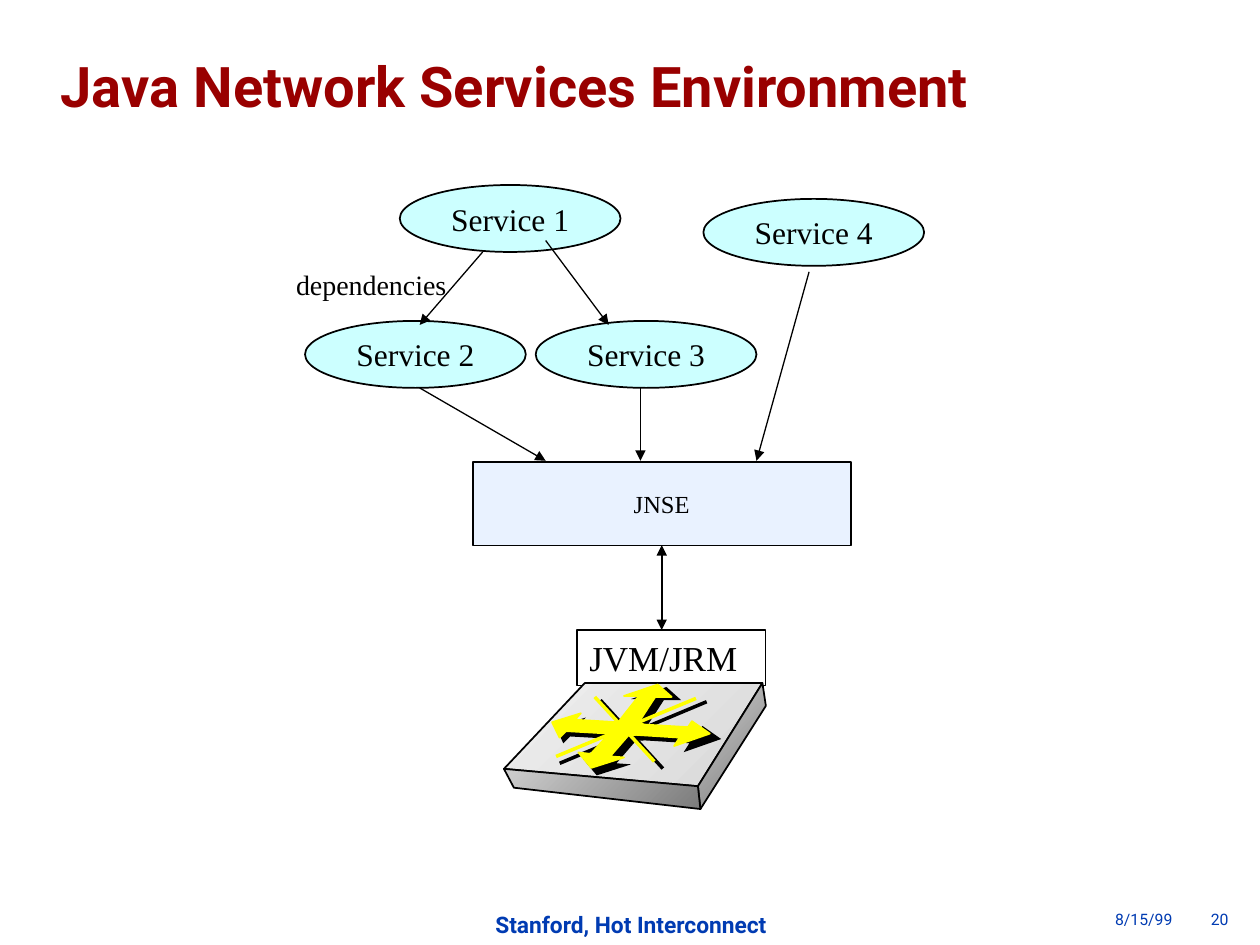
from lxml import etree
from pptx import Presentation
from pptx.dml.color import RGBColor
from pptx.enum.shapes import MSO_CONNECTOR, MSO_SHAPE
from pptx.enum.text import MSO_ANCHOR, MSO_AUTO_SIZE, PP_ALIGN
from pptx.oxml.ns import qn
from pptx.util import Cm, Pt

LEFT, CENTER = PP_ALIGN.LEFT, PP_ALIGN.CENTER
TOP, MIDDLE = MSO_ANCHOR.TOP, MSO_ANCHOR.MIDDLE
OVAL, RECTANGLE = MSO_SHAPE.OVAL, MSO_SHAPE.RECTANGLE
STRAIGHT = MSO_CONNECTOR.STRAIGHT
NO_AUTOFIT = MSO_AUTO_SIZE.NONE

SANS, SERIF = "Roboto", "Times New Roman"
BLACK = RGBColor(0x00, 0x00, 0x00)
RED = RGBColor(0x99, 0x00, 0x00)
BLUE = RGBColor(0x00, 0x3B, 0xB2)
AQUA = RGBColor(0xCC, 0xFF, 0xFF)
PALE_BLUE = RGBColor(0xE9, 0xF2, 0xFF)
YELLOW = RGBColor(0xFF, 0xFF, 0x00)
TOP_LIGHT, TOP_DARK = RGBColor(0xF0, 0xF0, 0xF0), RGBColor(0xD8, 0xD8, 0xD8)
SIDE_LIGHT, SIDE_DARK = RGBColor(0xCE, 0xCE, 0xCE), RGBColor(0x7C, 0x7C, 0x7C)

SERVICES = [("Service 1", 2.34, 0), ("Service 2", 0.43, 2.74),
            ("Service 3", 5.08, 2.74), ("Service 4", 8.46, 0.28)]
DEPENDENCIES = [((4.01, 1.35), (2.74, 2.82)), ((5.28, 1.12), (6.55, 2.82)),
                ((2.74, 4.09), (5.28, 5.56)), ((7.19, 4.09), (7.19, 5.56)),
                ((10.59, 1.75), (9.53, 5.56))]

SWITCH_ARROWS = [
    [(1.63, 0.94), (1.22, 0.91), (1.45, 0.61), (1.75, 0.23),
     (1.45, 0.23), (2.13, 0), (2.41, 0.25), (2.08, 0.25)],
    [(1.57, 0.99), (1.17, 0.97), (0.76, 1.42), (0.79, 1.4),
     (0.53, 1.37), (0.79, 1.68), (1.45, 1.47), (1.17, 1.45)],
    [(1.57, 0.79), (2.74, 0.86), (2.82, 0.74), (3.18, 0.99),
     (2.46, 1.24), (2.57, 1.07), (1.3, 0.99)],
    [(1.83, 0.79), (0.46, 0.71), (0.58, 0.58), (0, 0.76),
     (0.15, 1.07), (0.28, 0.94), (1.68, 1.02)],
]
SWITCH_STRIPES = [((0.08, 1.45), (2.9, 0.28)), ((0.86, 0.25), (2.06, 1.55))]


def write(tf, text, size, color, font=SERIF, bold=False, align=CENTER,
          anchor=MIDDLE, wrap=False):
    """Write one formatted run in the first paragraph and return the paragraph."""
    tf.word_wrap = wrap
    tf.auto_size = NO_AUTOFIT
    tf.vertical_anchor = anchor
    p = tf.paragraphs[0]
    p.alignment = align
    r = p.add_run()
    r.text = text
    r.font.name, r.font.size, r.font.bold = font, Pt(size), bold
    r.font.color.rgb = color
    return p


def add_box(s, kind, x, y, w, h, fill=None, weight=1):
    """Add a black-outlined preset shape."""
    sp = s.shapes.add_shape(kind, Cm(x), Cm(y), Cm(w), Cm(h))
    sp.shadow.inherit = False
    if fill is None:
        sp.fill.background()
    else:
        sp.fill.solid()
        sp.fill.fore_color.rgb = fill
    sp.line.color.rgb = BLACK
    sp.line.width = Pt(weight)
    return sp


def add_line(s, x, y, start, end, color=BLACK, weight=0.75, heads=()):
    """Add a line between points relative to (x, y), with optional arrowheads."""
    c = s.shapes.add_connector(STRAIGHT, Cm(x + start[0]), Cm(y + start[1]),
                               Cm(x + end[0]), Cm(y + end[1]))
    c.line.color.rgb = color
    c.line.width = Pt(weight)
    ln = c.line._get_or_add_ln()
    for head in heads:
        etree.SubElement(ln, qn(f"a:{head}"), type="triangle")
    etree.SubElement(c._element.spPr, qn("a:effectLst"))


def add_outline(s, x, y, points):
    """Add a closed polygon with points relative to (x, y)."""
    pts = [(Cm(x + px), Cm(y + py)) for px, py in points]
    builder = s.shapes.build_freeform(*pts[0])
    builder.add_line_segments(pts[1:], close=True)
    sp = builder.convert_to_shape()
    sp.shadow.inherit = False
    return sp


def add_title(s, x, y, w, h):
    """Format the title placeholder."""
    sp = s.shapes.title
    sp.left, sp.top, sp.width, sp.height = Cm(x), Cm(y), Cm(w), Cm(h)
    p = write(sp.text_frame, "Java Network Services Environment", 32, RED, SANS,
              bold=True, align=LEFT, anchor=TOP, wrap=True)
    p.line_spacing = 0.9


def add_footer(s, x, y):
    """Add the event name, and the date and page number."""
    sp = s.shapes.add_textbox(Cm(x), Cm(y), Cm(6.63), Cm(0.79))
    write(sp.text_frame, "Stanford, Hot Interconnect", 13, BLUE, SANS,
          bold=True, anchor=TOP)
    sp = s.shapes.add_textbox(Cm(x + 12.83), Cm(y + 0.1), Cm(2.74), Cm(0.43))
    tf = sp.text_frame
    tf.margin_top = tf.margin_bottom = 0
    tabs = etree.SubElement(tf.paragraphs[0]._p.get_or_add_pPr(), qn("a:tabLst"))
    etree.SubElement(tabs, qn("a:tab"), pos=str(Cm(1.93)), algn="l")
    write(tf, "8/15/99\t20", 9, BLUE, SANS, align=LEFT, anchor=TOP)


def add_services(s, x, y):
    """Draw the services, their dependencies and the environment below them."""
    sp = add_box(s, RECTANGLE, x + 3.81, y + 5.59, 7.62, 1.68, PALE_BLUE)
    write(sp.text_frame, "JNSE", 14, BLACK)
    for name, dx, dy in SERVICES:
        sp = add_box(s, OVAL, x + dx, y + dy, 4.45, 1.35, AQUA)
        write(sp.text_frame, name, 18, BLACK)
    for start, end in DEPENDENCIES:
        add_line(s, x, y, start, end, heads=["tailEnd"])
    add_line(s, x, y, (7.62, 7.26), (7.62, 8.97), weight=1,
             heads=["headEnd", "tailEnd"])
    sp = s.shapes.add_textbox(Cm(x), Cm(y + 1.55), Cm(3.53), Cm(0.91))
    write(sp.text_frame, "dependencies", 16, BLACK)


def add_switch_arrows(s, x, y, color, scale_x=1, scale_y=1, outlined=False):
    """Draw the four arrows and two stripes on the switch in one colour."""
    def scaled(points):
        return [(px * scale_x, py * scale_y) for px, py in points]

    for points in SWITCH_ARROWS:
        sp = add_outline(s, x, y, scaled(points))
        sp.fill.solid()
        sp.fill.fore_color.rgb = color
        if outlined:
            sp.line.color.rgb = color
            sp.line.width = Pt(1)
        else:
            sp.line.fill.background()
    for stripe in SWITCH_STRIPES:
        add_line(s, x, y, *scaled(stripe), color=color, weight=2)


def add_switch(s, x, y):
    """Draw the virtual machine label and the switch under it."""
    sp = add_box(s, RECTANGLE, x + 1.47, y, 3.81, 1.12, weight=0.75)
    write(sp.text_frame, "JVM/JRM", 20, BLACK, align=LEFT, anchor=TOP, wrap=True)
    y += 1.07
    west, north, east, south = (0, 1.73), (1.63, 0), (5.21, 0), (3.91, 2.08)
    bottom = (3.96, 2.54)
    faces = [([west, north, east, south], TOP_LIGHT, TOP_DARK),
             ([bottom, south, east, (5.28, 0.46)], SIDE_LIGHT, SIDE_DARK),
             ([west, (0.2, 2.11), bottom, south], SIDE_LIGHT, SIDE_DARK)]
    for points, *colors in faces:
        sp = add_outline(s, x, y, points)
        sp.fill.gradient()
        sp.fill.gradient_angle = 315
        for stop, color in zip(sp.fill.gradient_stops, colors):
            stop.color.rgb = color
        sp.line.color.rgb = BLACK
        sp.line.width = Pt(1)
    add_switch_arrows(s, x + 1.04, y + 0.08, BLACK, 1.05, 1.06)
    add_switch_arrows(s, x + 0.97, y + 0.03, YELLOW, outlined=True)


def main():
    """Build and save the slide."""
    prs = Presentation()
    prs.slide_width, prs.slide_height = Cm(25.4), Cm(19.05)
    s = prs.slides.add_slide(prs.slide_layouts[5])
    add_footer(s, 9.4, 18.24)
    add_title(s, 0.97, 1.07, 24.43, 2.13)
    add_switch(s, 10.16, 12.7)
    add_services(s, 5.72, 3.73)
    prs.save("out.pptx")


if __name__ == "__main__":
    main()
